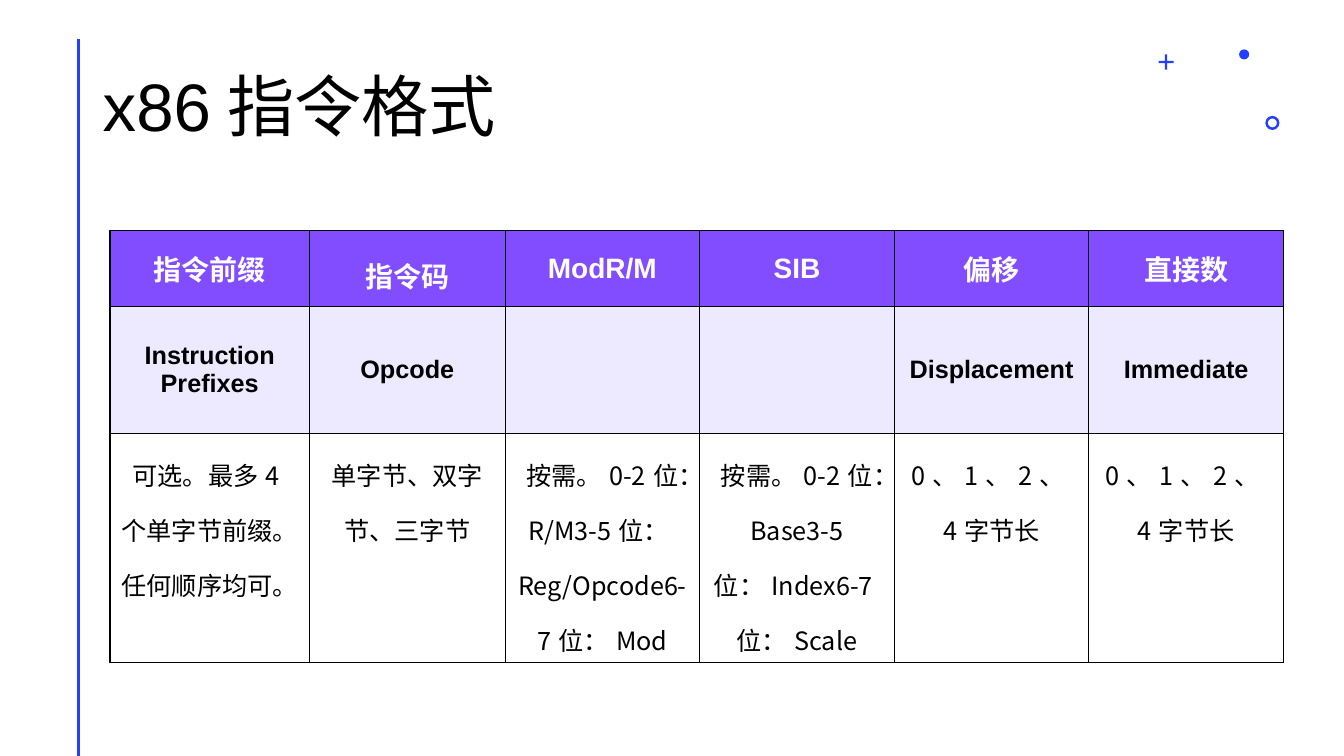
from lxml.etree import SubElement
from pptx import Presentation
from pptx.dml.color import RGBColor
from pptx.enum.shapes import MSO_CONNECTOR as Connector, MSO_SHAPE as Shape
from pptx.enum.text import MSO_ANCHOR as Anchor, PP_ALIGN as Align
from pptx.oxml import parse_xml
from pptx.oxml.ns import nsdecls, qn
from pptx.util import Inches, Pt

BLUE, BLACK, WHITE = "243FFF", "000000", "FFFFFF"
COLUMN_WIDTHS = [1.98, 1.94] + [1.93] * 4
HEADERS = ["指令前缀", "指令码", "ModR/M", "SIB", "偏移", "直接数"]
ENGLISH = ["Instruction Prefixes", "Opcode", "", "", "Displacement", "Immediate"]
DETAILS = [
    "可选。最多4个单字节前缀。任何顺序均可。",
    "单字节、双字节、三字节",
    "按需。0-2位：R/M3-5位：Reg/Opcode6-7位：Mod",
    "按需。0-2位：Base3-5\n位：Index6-7位：Scale",
    "0、1、2、4字节⻓",
    "0、1、2、4字节⻓",
]
ROWS = [
    {"texts": HEADERS, "height": 0.75, "fill": "814DFF", "color": WHITE,
     "anchor": Anchor.MIDDLE, "spacing": None,
     "font": {"name": "Arial", "size": Pt(20), "bold": True}},
    {"texts": ENGLISH, "height": 1.26, "fill": "EDE9FF", "color": BLACK,
     "anchor": Anchor.MIDDLE, "spacing": None,
     "font": {"name": "Arial", "size": Pt(18), "bold": True}},
    {"texts": DETAILS, "height": 2.27, "fill": WHITE, "color": BLACK,
     "anchor": Anchor.TOP, "spacing": 1.5,
     "font": {"name": "Noto Sans CJK SC", "size": Pt(18), "bold": False}},
]


def rgb(code):
    return RGBColor.from_string(code)


def write_text(frame, text, color, font, **layout):
    frame.text = text
    for para in frame.paragraphs:
        for name, value in layout.items():
            setattr(para, name, value)
        for target in [para, *para.runs]:
            for name, value in font.items():
                setattr(target.font, name, value)
            target.font.color.rgb = rgb(color)


def add_title(page, text):
    box = page.shapes.add_textbox(Inches(0.92), Inches(0.43), Inches(11.5), Inches(1.07))
    box.text_frame.word_wrap = True
    box.text_frame.vertical_anchor = Anchor.BOTTOM
    write_text(box.text_frame, text, BLACK, {"name": "Arial", "size": Pt(48)},
               line_spacing=0.9)


def add_side_line(page):
    line = page.shapes.add_connector(
        Connector.STRAIGHT, Inches(0.78), Inches(0.39), Inches(0.78), Inches(7.5))
    line.line.color.rgb = rgb(BLUE)
    line.line.width = Pt(2)
    SubElement(line._element.spPr, qn("a:effectLst"))


def add_ornament(page, kind, left, top, size, adjustment=None):
    ornament = page.shapes.add_shape(
        kind, Inches(left), Inches(top), Inches(size), Inches(size))
    ornament.shadow.inherit = False
    ornament.fill.solid()
    ornament.fill.fore_color.rgb = rgb(BLUE)
    ornament.line.fill.background()
    if adjustment is not None:
        ornament.adjustments[0] = adjustment


def add_borders(cell):
    """Draw a thin black line on all four sides of a cell."""
    properties = cell._tc.get_or_add_tcPr()
    for index, side in enumerate(["lnL", "lnR", "lnT", "lnB"]):
        properties.insert(index, parse_xml(
            f'<a:{side} {nsdecls("a")} w="{Pt(1)}"><a:solidFill>'
            f'<a:srgbClr val="{BLACK}"/></a:solidFill></a:{side}>'))


def add_format_table(page):
    table = page.shapes.add_table(
        len(ROWS), len(COLUMN_WIDTHS), Inches(1.09), Inches(2.29),
        Inches(sum(COLUMN_WIDTHS)), Inches(sum(row["height"] for row in ROWS))).table
    table.horz_banding = False
    for column, width in zip(table.columns, COLUMN_WIDTHS):
        column.width = Inches(width)
    for table_row, row in zip(table.rows, ROWS):
        table_row.height = Inches(row["height"])
        for cell, text in zip(table_row.cells, row["texts"]):
            cell.fill.solid()
            cell.fill.fore_color.rgb = rgb(row["fill"])
            cell.vertical_anchor = row["anchor"]
            add_borders(cell)
            write_text(cell.text_frame, text, row["color"], row["font"],
                       alignment=Align.CENTER, line_spacing=row["spacing"])
    opcode_header = table.cell(0, 1).text_frame.paragraphs[0]
    opcode_header.line_spacing = 1.3


def main():
    deck = Presentation()
    deck.slide_width, deck.slide_height = Inches(13.33), Inches(7.5)
    page = deck.slides.add_slide(deck.slide_layouts[6])
    add_side_line(page)
    add_ornament(page, Shape.CROSS, 11.49, 0.54, 0.15, 0.43)
    add_ornament(page, Shape.DONUT, 12.55, 1.15, 0.14, 0.18)
    add_ornament(page, Shape.OVAL, 12.29, 0.49, 0.1)
    add_title(page, "x86指令格式")
    add_format_table(page)
    deck.save("out.pptx")


if __name__ == "__main__":
    main()
